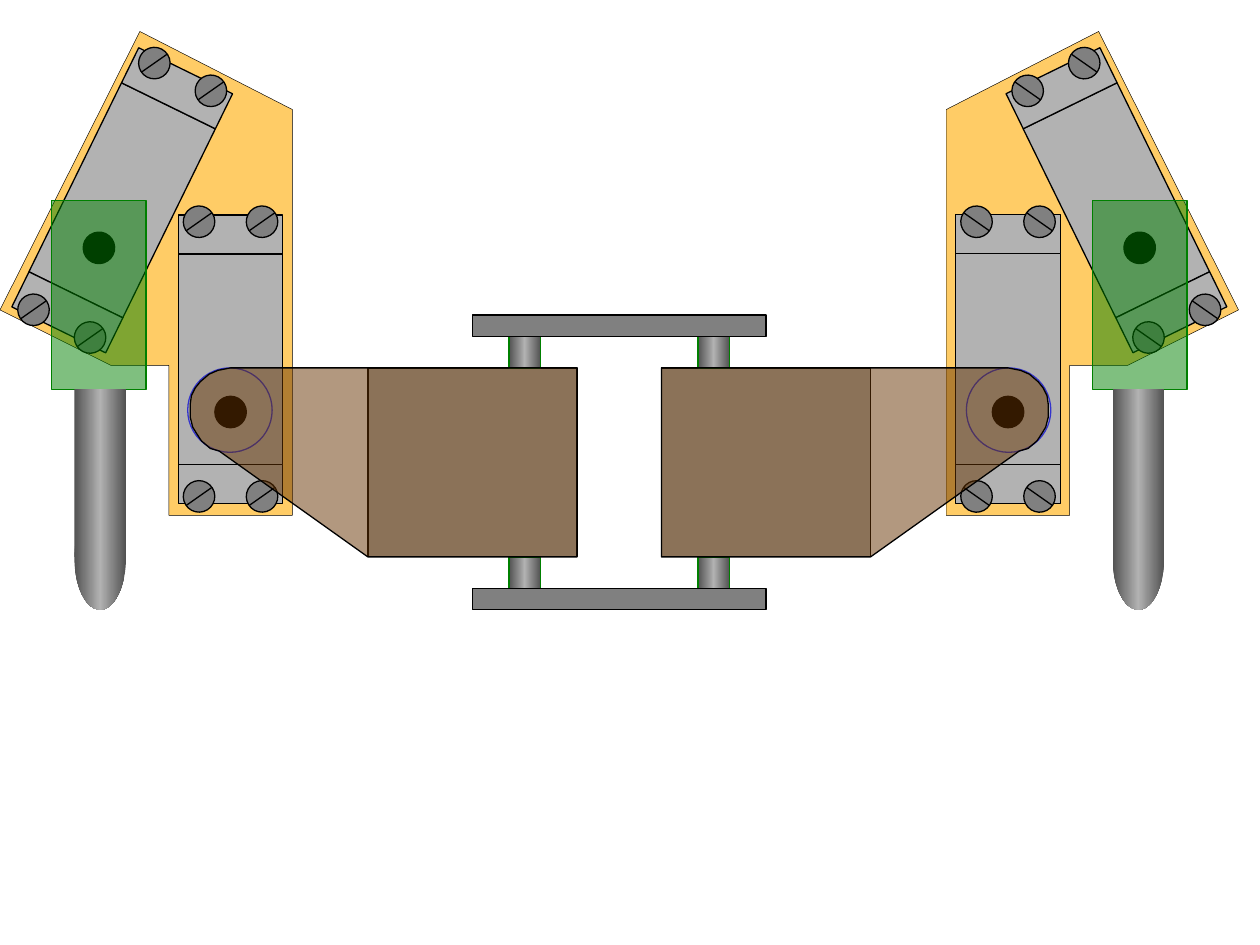
from copy import deepcopy
from dataclasses import dataclass
from math import cos, radians, sin

from lxml import etree
from pptx import Presentation
from pptx import util as u
from pptx.dml.color import RGBColor
from pptx.enum import shapes
from pptx.oxml.ns import qn

RECT = shapes.MSO_SHAPE.RECTANGLE
OVAL = shapes.MSO_SHAPE.OVAL


@dataclass(frozen=True)
class Theme:
    outline: str = "000000"
    casing: str = "B2B2B2"
    steel: str = "808080"
    shade: str = "525252"
    bracket: str = "FFCC66"
    arm: str = "663300"
    mount: str = "008000"
    ring: str = "3333CC"
    thin: float = 0.25
    normal: float = 0.75
    mirror_span: float = 9.83


class Drawing:
    def __init__(self, page, theme):
        self.page = page
        self.theme = theme
        self.mirrored = False
        self.group = None

    def start_side(self, mirrored):
        self.mirrored = mirrored
        self.group = self.page.shapes.add_group_shape()

    def across(self, x):
        return u.Inches(self.theme.mirror_span - x if self.mirrored else x)

    def paint(self, shape, fill, line, weight=None, alpha=None):
        shape.shadow.inherit = False
        if fill is None:
            shape.fill.background()
        elif fill == "cylinder":
            self.paint_cylinder(shape)
        else:
            shape.fill.solid()
            shape.fill.fore_color.rgb = RGBColor.from_string(fill)
        if alpha is not None:
            colour = shape._element.spPr.find(qn("a:solidFill")).find(qn("a:srgbClr"))
            etree.SubElement(colour, qn("a:alpha")).set("val", str(alpha * 1000))
        if line is None:
            shape.line.fill.background()
        else:
            self.stroke(shape.line, line, weight)

    def paint_cylinder(self, shape):
        shape.fill.gradient()
        shape.fill.gradient_angle = 180
        stop_list = shape._element.spPr.find(qn("a:gradFill")).find(qn("a:gsLst"))
        stop_list.insert(1, deepcopy(stop_list[0]))
        colours = (self.theme.shade, self.theme.casing, self.theme.shade)
        for index, (stop, colour) in enumerate(zip(shape.fill.gradient_stops, colours)):
            stop.position = index / 2
            stop.color.rgb = RGBColor.from_string(colour)

    def stroke(self, line, colour, weight=None):
        line.color.rgb = RGBColor.from_string(colour)
        line.width = u.Pt(weight or self.theme.normal)

    def preset(self, kind, left, top, width, height, fill, line=Theme.outline,
               angle=0, alpha=None):
        start = left + width if self.mirrored else left
        shape = self.group.shapes.add_shape(
            kind, self.across(start), u.Inches(top), u.Inches(width), u.Inches(height))
        shape.rotation = (-angle if self.mirrored else angle) % 360
        self.paint(shape, fill, line, alpha=alpha)

    def centred(self, kind, centre, width, height, fill, angle=0):
        x, y = centre
        self.preset(kind, x - width / 2, y - height / 2, width, height, fill, angle=angle)

    def outline(self, points, fill, weight=None, alpha=None):
        corners = [(self.across(x), u.Inches(y)) for x, y in points]
        builder = self.group.shapes.build_freeform(*corners[0], scale=1.0)
        builder.add_line_segments(corners[1:], close=True)
        self.paint(builder.convert_to_shape(), fill, self.theme.outline, weight, alpha)

    def segment(self, start, end):
        line = self.group.shapes.add_connector(
            shapes.MSO_CONNECTOR.STRAIGHT,
            self.across(start[0]), u.Inches(start[1]),
            self.across(end[0]), u.Inches(end[1]))
        self.stroke(line.line, self.theme.outline)
        etree.SubElement(line._element.spPr, qn("a:effectLst"))

    def servo(self, centre, angle):
        casing = self.theme.casing
        self.centred(RECT, centre, 1.67, 0.83, casing, angle)
        self.centred(OVAL, offset(centre, angle, 0.42), 0.25, 0.25,
                     self.theme.outline, angle)
        for along in (0.99, -0.99):
            self.centred(RECT, offset(centre, angle, along), 0.31, 0.83, casing, angle)

    def screws(self, centre, angle):
        for along in (1.09, -1.09):
            for aside in (-0.25, 0.25):
                x, y = offset(centre, angle, along, aside)
                self.centred(OVAL, (x, y), 0.25, 0.25, self.theme.steel, 32.2)
                self.segment((x - 0.1, y - 0.07), (x + 0.1, y + 0.07))


def offset(centre, angle, along, aside=0):
    turn = radians(angle)
    return (centre[0] + along * cos(turn) - aside * sin(turn),
            centre[1] + along * sin(turn) + aside * cos(turn))


BRACKET = [(8.49, 4.09), (7.51, 4.09), (7.51, 0.87), (8.72, 0.25), (9.83, 2.46),
           (8.95, 2.9), (8.49, 2.9), (8.49, 4.04)]
ARM = [(5.25, 2.92), (8, 2.92), (8.1, 2.94), (8.17, 2.97), (8.24, 3.03), (8.28, 3.08),
       (8.31, 3.14), (8.32, 3.21), (8.32, 3.31), (8.3, 3.39), (8.27, 3.44), (8.23, 3.5),
       (8.16, 3.56), (8.09, 3.58), (6.91, 4.42), (5.25, 4.42)]
SERVOS = [((8, 2.85), 90), ((8.86, 1.59), 63.9)]


def draw_side(drawing, mirrored):
    theme = drawing.theme
    drawing.start_side(mirrored)
    drawing.preset(RECT, 5.25, 2.92, 1.66, 1.5, theme.casing)
    for top in (2.67, 4.42):
        drawing.preset(RECT, 5.54, top, 0.25, 0.25, "cylinder", theme.mount)
    if mirrored:
        for top in (2.5, 4.67):
            drawing.preset(RECT, 3.75, top, 2.33, 0.17, theme.steel)
    drawing.outline(BRACKET, theme.bracket, weight=theme.thin)
    for centre, angle in SERVOS:
        drawing.servo(centre, angle)
    drawing.preset(OVAL, 7.67, 2.92, 0.67, 0.67, None, theme.ring)
    for centre, angle in SERVOS:
        drawing.screws(centre, angle)
    drawing.outline(ARM, theme.arm, alpha=50)
    drawing.preset(RECT, 8.67, 1.59, 0.75, 1.5, theme.mount, theme.mount, alpha=50)
    drawing.preset(OVAL, 8.83, 4.01, 0.41, 0.83, "cylinder", None)
    drawing.preset(RECT, 8.83, 3.09, 0.41, 1.33, "cylinder", None)


def main():
    deck = Presentation()
    deck.slide_width, deck.slide_height = u.Inches(10), u.Inches(7.5)
    page = deck.slides.add_slide(deck.slide_layouts[6])
    drawing = Drawing(page, Theme())
    for mirrored in (False, True):
        draw_side(drawing, mirrored)
    deck.save("out.pptx")


if __name__ == "__main__":
    main()
